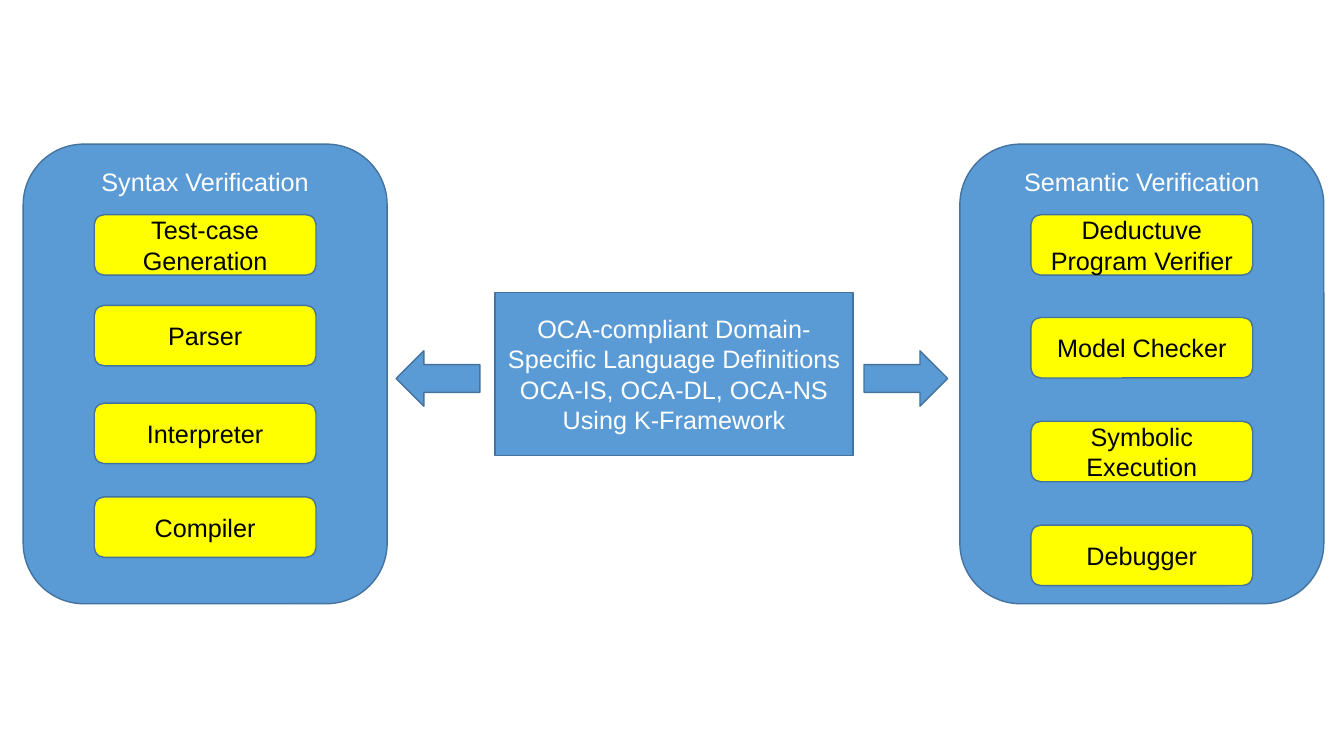
from dataclasses import dataclass
from typing import Union

from pptx import Presentation
from pptx import util as u
from pptx.dml import color
from pptx.enum import shapes, text
from pptx.shapes import autoshape, shapetree

Canvas = Union[shapetree.SlideShapes, shapetree.GroupShapes]
Kind = shapes.MSO_SHAPE


@dataclass(frozen=True)
class Theme:
    blue: str = "5B9BD5"
    outline: str = "43739E"
    yellow: str = "FFFF00"
    white: str = "FFFFFF"
    black: str = "000000"
    font: str = "Arial"
    size: int = 18
    line: int = 1


@dataclass(frozen=True)
class Area:
    left: float
    top: float
    width: float
    height: float


@dataclass(frozen=True)
class Tool:
    label: str
    top: float


@dataclass(frozen=True)
class Panel:
    title: str
    left: float
    tools: tuple[Tool, ...]


@dataclass(frozen=True)
class Arrow:
    kind: Kind
    left: float


THEME = Theme()
PANEL_TOP, PANEL_WIDTH, PANEL_HEIGHT = 1.43, 3.61, 4.56
TOOL_WIDTH, TOOL_HEIGHT = 2.2, 0.6
ARROW_TOP, ARROW_WIDTH, ARROW_HEIGHT = 3.48, 0.83, 0.55

DEFINITIONS = (
    "OCA-compliant Domain-Specific Language Definitions",
    "OCA-IS, OCA-DL, OCA-NS",
    "Using K-Framework",
)
ARROWS = (Arrow(Kind.RIGHT_ARROW, 8.57), Arrow(Kind.LEFT_ARROW, 3.93))
PANELS = (
    Panel("Semantic Verification", 9.52, (
        Tool("Deductuve Program Verifier", 2.13),
        Tool("Model Checker", 3.15),
        Tool("Symbolic Execution", 4.18),
        Tool("Debugger", 5.21),
    )),
    Panel("Syntax Verification", 0.23, (
        Tool("Test-case Generation", 2.13),
        Tool("Parser", 3.03),
        Tool("Interpreter", 4),
        Tool("Compiler", 4.93),
    )),
)


def write_text(box: autoshape.Shape, *lines: str, ink: str = THEME.white,
               anchor: text.MSO_ANCHOR = text.MSO_ANCHOR.MIDDLE) -> None:
    """Fill a shape with centred paragraphs."""
    frame = box.text_frame
    frame.word_wrap = True
    frame.vertical_anchor = anchor
    for index, line in enumerate(lines):
        para = frame.add_paragraph() if index else frame.paragraphs[0]
        para.alignment = text.PP_ALIGN.CENTER
        span = para.add_run()
        span.text = line
        span.font.name = THEME.font
        span.font.size = u.Pt(THEME.size)
        span.font.color.rgb = color.RGBColor.from_string(ink)


def draw_box(canvas: Canvas, kind: Kind, area: Area,
             fill: str = THEME.blue) -> autoshape.Shape:
    """Add a filled, outlined shape."""
    box = canvas.add_shape(kind, u.Inches(area.left), u.Inches(area.top),
                           u.Inches(area.width), u.Inches(area.height))
    box.shadow.inherit = False
    box.fill.solid()
    box.fill.fore_color.rgb = color.RGBColor.from_string(fill)
    box.line.color.rgb = color.RGBColor.from_string(THEME.outline)
    box.line.width = u.Pt(THEME.line)
    return box


def draw_panel(canvas: Canvas, panel: Panel) -> None:
    """Group a titled panel with its centred column of tools."""
    group = canvas.add_group_shape().shapes
    frame = draw_box(group, Kind.ROUNDED_RECTANGLE,
                     Area(panel.left, PANEL_TOP, PANEL_WIDTH, PANEL_HEIGHT))
    write_text(frame, panel.title, anchor=text.MSO_ANCHOR.TOP)
    tool_left = panel.left + (PANEL_WIDTH - TOOL_WIDTH) / 2
    for tool in panel.tools:
        box = draw_box(group, Kind.ROUNDED_RECTANGLE,
                       Area(tool_left, tool.top, TOOL_WIDTH, TOOL_HEIGHT), THEME.yellow)
        write_text(box, tool.label, ink=THEME.black)


def main() -> None:
    deck = Presentation()
    deck.slide_width, deck.slide_height = u.Inches(13.33), u.Inches(7.5)
    page = deck.slides.add_slide(deck.slide_layouts[6])

    # Central language definitions
    center = draw_box(page.shapes, Kind.RECTANGLE, Area(4.91, 2.9, 3.55, 1.62))
    write_text(center, *DEFINITIONS)

    # Arrows towards both panels
    for arrow in ARROWS:
        draw_box(page.shapes, arrow.kind,
                 Area(arrow.left, ARROW_TOP, ARROW_WIDTH, ARROW_HEIGHT))

    # Verification panels
    for panel in PANELS:
        draw_panel(page.shapes, panel)

    deck.save("out.pptx")


if __name__ == "__main__":
    main()
